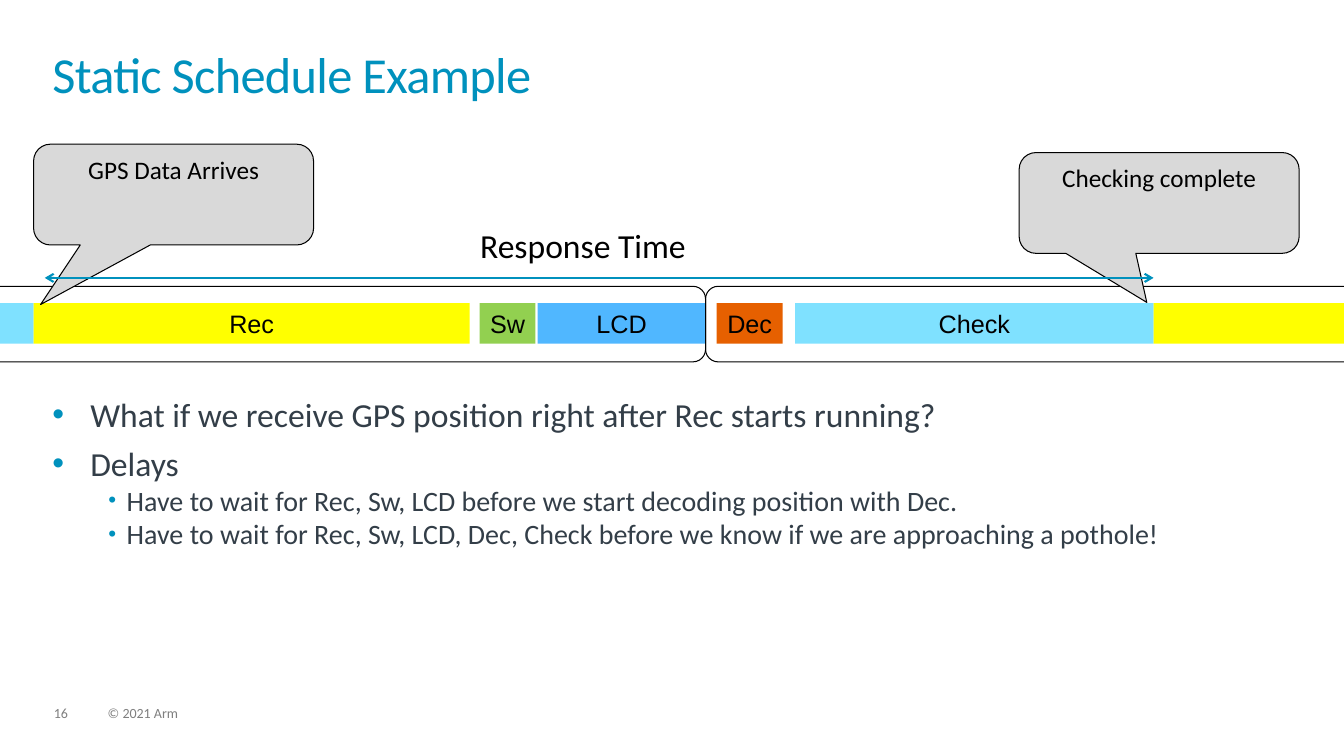
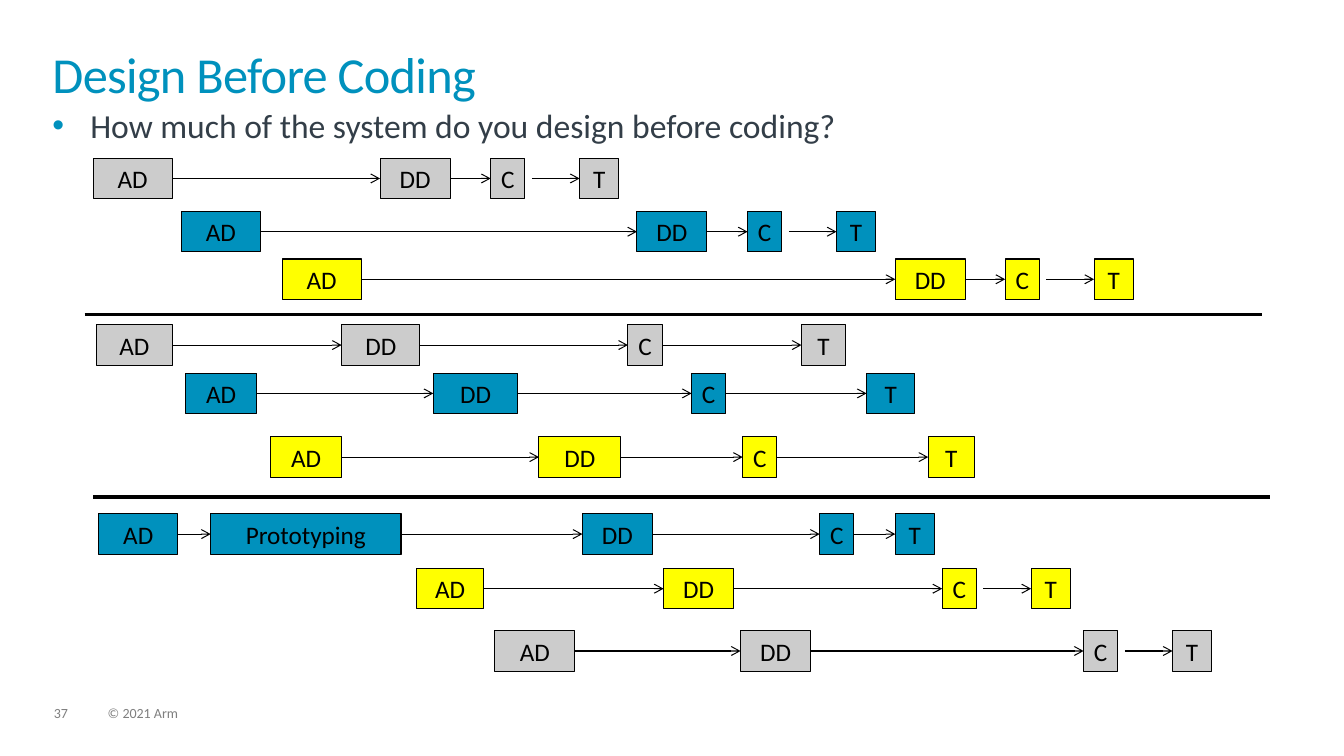
from lxml.etree import SubElement
from pptx import Presentation
from pptx.dml.color import RGBColor
from pptx.enum.shapes import MSO_CONNECTOR, MSO_SHAPE
from pptx.enum.text import MSO_ANCHOR, PP_ALIGN
from pptx.oxml.ns import qn
from pptx.util import Pt

COLORS = {
    "accent": "0091BD", "body": "333E48", "footer": "7F7F7F", "black": "000000",
    "callout": "D9D9D9", "gray": "CCCCCC", "yellow": "FFFF00", "sky": "7FE1FF",
    "green": "92D050", "blue": "50B7FF", "orange": "E66000",
}
ROW_HEIGHT = 29
CODE_WIDTH = 24.5
TEST_OFFSET = 63.5  # from the coding step to the test step
LATE_START = 5


def color(name):
    return RGBColor.from_string(COLORS[name])


def style(para, size, color_name, font="Calibri"):
    para.font.name = font
    para.font.size = Pt(size)
    para.font.color.rgb = color(color_name)


def add_text_box(page, left, top, width, height):
    """Add a text box without margins and return its text frame."""
    box = page.shapes.add_textbox(Pt(left), Pt(top), Pt(width), Pt(height))
    frame = box.text_frame
    frame.word_wrap = True
    frame.margin_left = frame.margin_top = frame.margin_right = frame.margin_bottom = 0
    return frame


def add_footer(page, left, top, number):
    for text, offset, width in ((str(number), 0, 24), ("© 2021 Arm", 38.5, 365)):
        para = add_text_box(page, left + offset, top, width, 11).paragraphs[0]
        para.text = text
        para.line_spacing = 0.9
        style(para, 10, "footer")


def add_page(deck, title, number):
    """Add a slide with the shared title and footer."""
    page = deck.slides.add_slide(deck.slide_layouts[6])
    para = add_text_box(page, 37.5, 37.5, 884, 52).paragraphs[0]
    para.text = title
    para.line_spacing = 0.85
    style(para, 36, "accent")
    para._p.pPr.find(qn("a:defRPr")).set("spc", "-50")
    add_footer(page, 38.5, 504.5, number)
    return page


def add_bullets(page, left, top, width, height, items):
    """Fill a box with (level, text) items."""
    frame = add_text_box(page, left, top, width, height)
    for index, (level, text) in enumerate(items):
        para = frame.add_paragraph() if index else frame.paragraphs[0]
        para.text = text
        para.level = level
        if index and level == 0:
            para.space_before = Pt(6)
        margin, hanging, size = ((27, 27, 24), (53, 13, 20))[level]
        props = para._p.get_or_add_pPr()
        props.set("marL", str(Pt(margin)))
        props.set("indent", str(-Pt(hanging)))
        bullet_color = SubElement(props, qn("a:buClr"))
        SubElement(bullet_color, qn("a:srgbClr"), val=COLORS["accent"])
        if level:
            SubElement(props, qn("a:buSzPct"), val="80000")
        SubElement(props, qn("a:buFont"), typeface="Arial")
        SubElement(props, qn("a:buChar"), char="•")
        style(para, size, "body")


def add_box(page, kind, left, top, width, height, fill=None, outlined=True):
    box = page.shapes.add_shape(kind, Pt(left), Pt(top), Pt(width), Pt(height))
    box.shadow.inherit = False
    if fill:
        box.fill.solid()
        box.fill.fore_color.rgb = color(fill)
    else:
        box.fill.background()
    if outlined:
        box.line.color.rgb = color("black")
        box.line.width = Pt(0.75)
    else:
        box.line.fill.background()
    return box


def add_block(page, left, top, width, label, fill, font="Calibri", outlined=True):
    """Add one labelled rectangle of a timeline."""
    block = add_box(page, MSO_SHAPE.RECTANGLE, left, top, width, ROW_HEIGHT, fill, outlined)
    if label:
        frame = block.text_frame
        frame.word_wrap = False
        frame.margin_left = frame.margin_right = 0
        frame.vertical_anchor = MSO_ANCHOR.MIDDLE
        para = frame.paragraphs[0]
        para.text = label
        para.alignment = PP_ALIGN.CENTER
        style(para, 18, "black", font)
    return block


def add_line(page, start, end, y, color_name="black", width=0.75, arrow_ends=()):
    """Add a level line; arrow_ends lists headEnd and tailEnd as needed."""
    line = page.shapes.add_connector(
        MSO_CONNECTOR.STRAIGHT, Pt(start), Pt(y), Pt(end), Pt(y))
    line.line.color.rgb = color(color_name)
    line.line.width = Pt(width)
    props = line.element.spPr
    for end_name in arrow_ends:
        SubElement(props.find(qn("a:ln")), qn(f"a:{end_name}"), type="arrow")
    SubElement(props, qn("a:effectLst"))
    return line


def add_callout(page, left, top, text, tip):
    """Add a speech bubble; tip is relative to its centre, in shares of its size."""
    bubble = add_box(page, MSO_SHAPE.ROUNDED_RECTANGULAR_CALLOUT,
                     left, top, 200, 72, "callout")
    for index, value in enumerate((*tip, 0.167)):
        bubble.adjustments[index] = value
    bubble.text_frame.vertical_anchor = MSO_ANCHOR.TOP
    para = bubble.text_frame.paragraphs[0]
    para.text = text
    para.alignment = PP_ALIGN.CENTER
    style(para, 18, "black")


def add_schedule(page, left, top):
    """Draw the task strip with a rounded frame around each period."""
    tasks = (
        ("", 0, 24, "sky"), ("Rec", 24, 311.5, "yellow"), ("Sw", 342.5, 40, "green"),
        ("LCD", 384, 120, "blue"), ("Dec", 512, 47, "orange"),
        ("Check", 568, 256, "sky"), ("", 824, 136, "yellow"),
    )
    for label, offset, width, fill in tasks:
        add_block(page, left + offset, top + 12, width, label, fill, "Arial", False)
    for offset, width in ((-24, 528), (504, 504)):
        period = add_box(page, MSO_SHAPE.ROUNDED_RECTANGLE, left + offset, top, width, 54)
        period.adjustments[0] = 0.167


def add_response_time(page, left, top, width):
    frame = add_text_box(page, left + 311, top, 150, 30)
    frame.word_wrap = False
    frame.paragraphs[0].text = "Response Time"
    style(frame.paragraphs[0], 24, "black")
    add_line(page, left, left + width, top + 38, "accent", 1.5, ("headEnd", "tailEnd"))


def add_project_row(page, left, top, fill, steps, late_test):
    """Draw steps (label, offset, width) joined by arrows; a late test starts after a gap."""
    previous = None
    for label, offset, width in steps:
        block = add_block(page, left + offset, top, width, label, fill)
        if previous:
            gap = LATE_START if late_test and label == "T" else 0
            start = previous.left.pt + previous.width.pt + gap
            arrow = add_line(page, start, block.left.pt, top + ROW_HEIGHT / 2,
                             arrow_ends=("tailEnd",))
            if not gap:
                arrow.begin_connect(previous, 3)
            arrow.end_connect(block, 1)
        previous = block


def late_steps(design_width, detail, code):
    """List the steps of a row whose test follows coding at a fixed distance."""
    return (("AD", 0, design_width), ("DD", detail, 50),
            ("C", code, CODE_WIDTH), ("T", code + TEST_OFFSET, 28))


def build_schedule_slide(deck):
    page = add_page(deck, "Static Schedule Example", 16)
    add_bullets(page, 37.5, 281.5, 884, 200, (
        (0, "What if we receive GPS position right after Rec starts running?"),
        (0, "Delays"),
        (1, "Have to wait for Rec, Sw, LCD before we start decoding position with Dec."),
        (1, "Have to wait for Rec, Sw, LCD, Dec, Check before we know if we are "
            "approaching a pothole!"),
    ))
    add_schedule(page, 0, 204.5)
    add_callout(page, 24, 103, "GPS Data Arrives", (-0.475, 1.091))
    add_callout(page, 728, 109, "Checking complete", (-0.044, 0.987))
    add_response_time(page, 32, 160.5, 792)


def build_design_slide(deck):
    page = add_page(deck, "Design Before Coding", 37)
    add_bullets(page, 37.5, 75, 884, 34.5,
                ((0, "How much of the system do you design before coding?"),))
    rows = (
        (66.5, 113, "gray", late_steps(56.5, 205, 284), True),
        (129.5, 151, "accent", late_steps(56.5, 325.5, 404.5), True),
        (201.5, 185, "yellow", late_steps(56.5, 438, 516.5), True),
        (69, 232, "gray", (("AD", 0, 54), ("DD", 175, 56),
                           ("C", 379.5, CODE_WIDTH), ("T", 503.5, 31.5)), False),
        (132.5, 266.5, "accent", (("AD", 0, 51), ("DD", 177, 60.5),
                                  ("C", 361.5, CODE_WIDTH), ("T", 486.5, 34.5)), False),
        (193.5, 312, "yellow", (("AD", 0, 50.5), ("DD", 191.5, 58.5),
                                ("C", 337, CODE_WIDTH), ("T", 469.5, 33)), False),
        (70.5, 367, "accent", (("AD", 0, 56.5), ("Prototyping", 80, 136), ("DD", 345.5, 50),
                               ("C", 515, CODE_WIDTH), ("T", 569, 28)), False),
        (297.5, 406, "yellow", late_steps(48, 176.5, 375.5), True),
        (353.5, 450.5, "gray", late_steps(57, 175.5, 420.5), True),
    )
    for row in rows:
        add_project_row(page, *row)
    for left, top in ((60.5, 224.5), (66.5, 355)):
        add_line(page, left, left + 841, top, width=2.25)


def main():
    deck = Presentation()
    deck.slide_width, deck.slide_height = Pt(960), Pt(540)
    build_schedule_slide(deck)
    build_design_slide(deck)
    deck.save("out.pptx")


if __name__ == "__main__":
    main()
